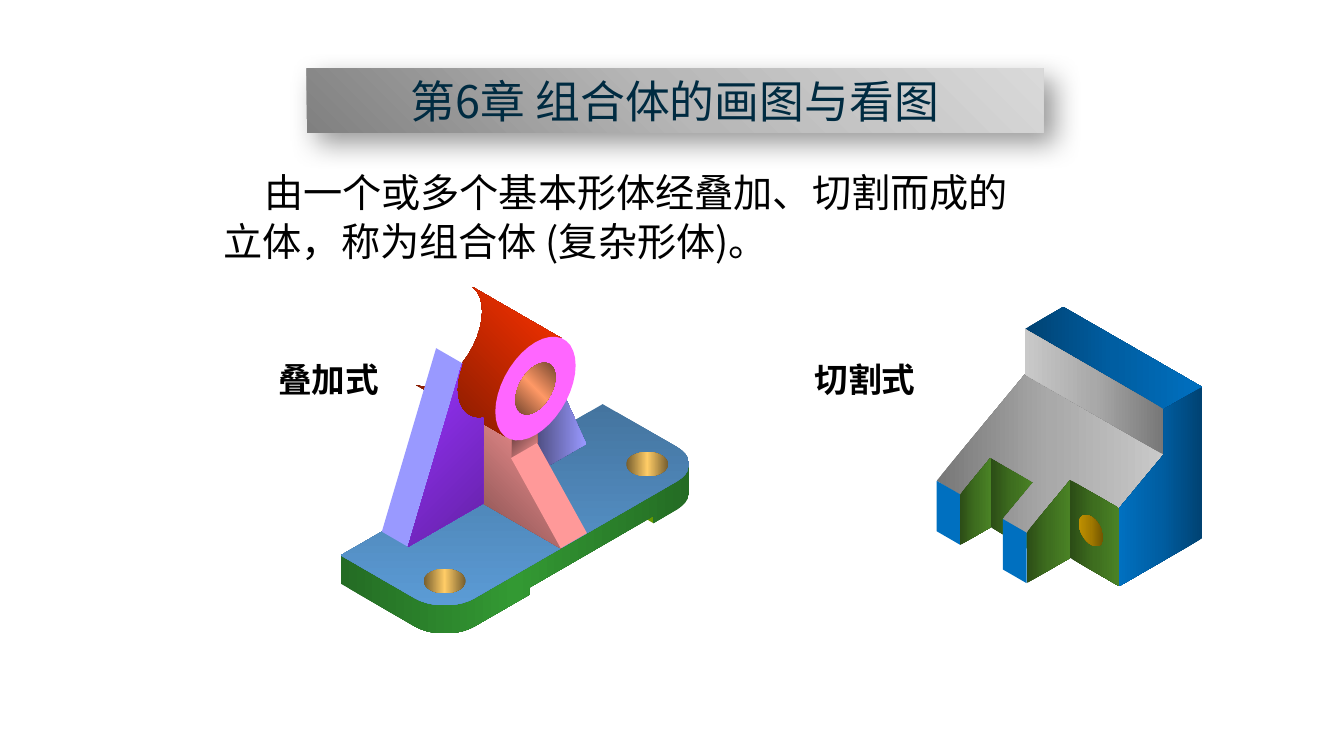
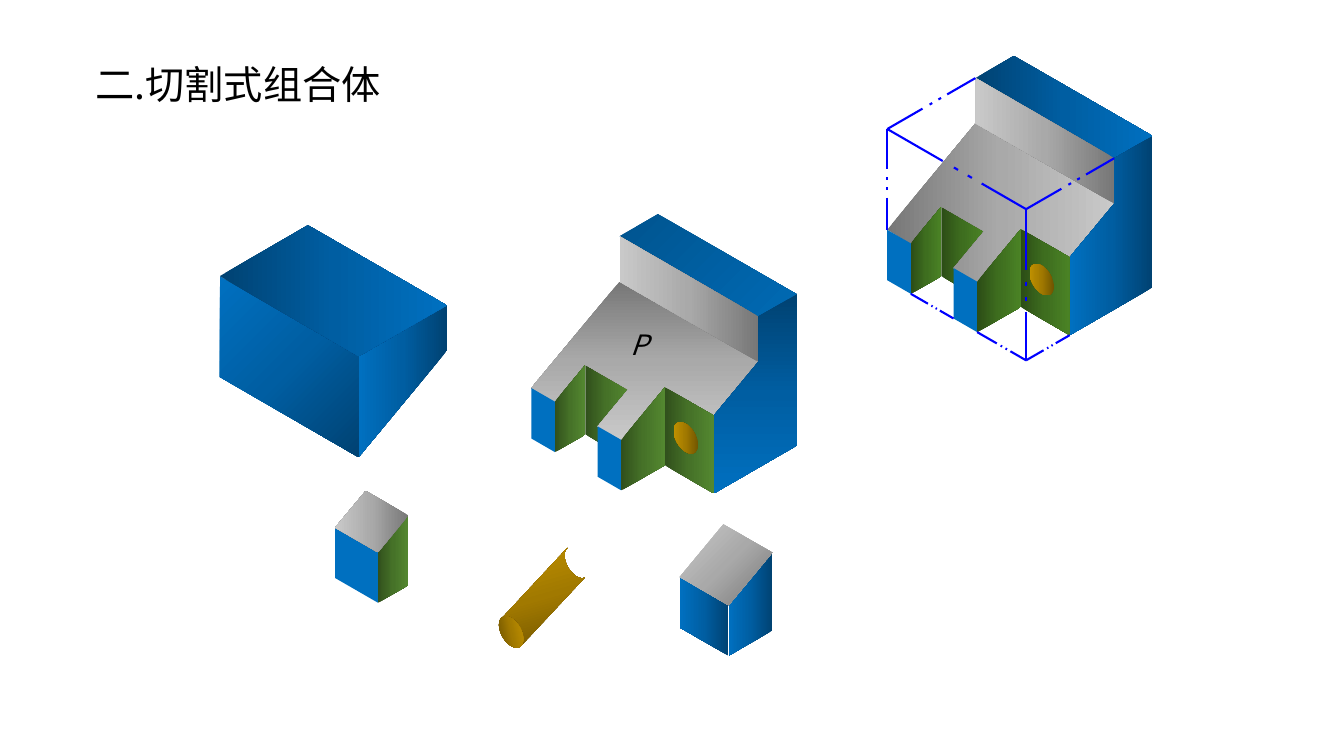
from math import cos, radians, sin
from lxml import etree
from pptx import Presentation
from pptx.dml.color import RGBColor
from pptx.enum import shapes, text
from pptx.oxml.ns import qn
from pptx.util import Inches, Pt

FONT = "Noto Sans CJK SC"
TITLE = "第6章 组合体的画图与看图"
INTRO = ["由一个或多个基本形体经叠加、切割而成的", "立体，称为组合体 (复杂形体)。"]
LABELS = [("叠加式", 2.66), ("切割式", 7.98)]
HEAD = "二.切割式组合体"
C = {
    "black": "000000", "navy": "002B41", "line": "0000FF",
    "banner": "808080 B7B7B7 D9D9D9",
    "face": "0070C0", "blue": "004272 005EA2 0070C0", "cap": "00548F 006AB4",
    "grey": "777777 A9A9A9 C9C9C9", "gold": "715500 A17900 BF9000",
    "leaf": "2C4D16 3E6E1F 4A8225", "moss": "31501C 467228 538730",
    "foot": "669900", "edge": "246C24 339933 246C24", "plate": "44749F 5B9BD5",
    "pink": "FF9999", "notch": "412727 FF9999", "rib": "824E4E FF9999",
    "lilac": "9999FF", "back": "474776 9999FF", "plum": "9933FF 6321A5",
    "red": "761800 FF3300", "rose": "FF66FF",
    "bore": "76472F FF9966 76472F", "brass": "765E2F FFCC66 765E2F",
}

WIDE, DEEP, TALL = 1.59, 1.45, 1.5
LIP, STEP, SHELF = 0.5, 1.01, 1.05
SLOT = (0.27, 0.76, 0.35)
NICK = (1.03, WIDE, 0.5)
HOLE = (1.27, 0.39, 0.14)

PLATE = {"wide": 1.19, "long": 3, "thick": 0.28, "round": 0.34}
ARCH = {"foot": 0.07, "from": 0.97, "to": 2.39}
WEB = {"thick": 0.3, "foot": 0.47}
RIB = {"near": 1.33, "far": 1.63, "nose": 0.62, "low": 0.61, "high": 0.82}
TUBE = {"end": 0.74, "long": 1.07, "mid": 1.49, "up": 1.28, "out": 0.46, "in": 0.23}

DASH = [(0, 0.4), (0.48, 0.51), (0.58, 0.61), (0.68, 1)]


def view(x, y):
    return lambda u, v, h=0: (x + 0.866 * (u + v), y + (u - v) / 2 - h)


def arc(x, y, r, start=0, stop=350):
    step = 10 if stop > start else -10
    return [(x + r * cos(radians(t)), y + r * sin(radians(t)))
            for t in range(start, stop + step, step)]


def sweep(rim, dx, dy):
    out = []
    for (x, y), (nx, ny) in zip(rim, rim[1:] + rim[:1]):
        ahead = (nx - x) * dy - (ny - y) * dx < 0
        out.append((x + dx, y + dy) if ahead else (x, y))
    return out


def ramp(v):
    return LIP + (SHELF - LIP) * v / STEP


def floor(v):
    return 0


def lid(v):
    return TALL


def node(up, tag, **atts):
    return etree.SubElement(up, qn("a:" + tag), {k: str(v) for k, v in atts.items()})


def paint(shape, name, ang):
    hues = C[name].split()
    shape.shadow.inherit = False
    shape.line.fill.background()
    if len(hues) == 1:
        shape.fill.solid()
        shape.fill.fore_color.rgb = RGBColor.from_string(hues[0])
        return
    shape.fill.gradient()
    grad = shape._element.spPr.find(qn("a:gradFill"))
    grad.clear()
    stops = node(grad, "gsLst")
    for i, hue in enumerate(hues):
        stop = node(stops, "gs", pos=i * 100000 // (len(hues) - 1))
        node(stop, "srgbClr", val=hue)
    if ang == "corner":
        node(node(grad, "path", path="circle"), "fillToRect", l=100000, t=100000)
    else:
        node(grad, "lin", ang=ang * 60000, scaled=0)


def fill(slide, flat, name, ang=0):
    pts = [(Inches(x), Inches(y)) for x, y in flat]
    pen = slide.shapes.build_freeform(*pts[0], scale=1.0)
    pen.add_line_segments(pts[1:], close=True)
    paint(pen.convert_to_shape(), name, ang)


def draw(slide, at, faces):
    for name, ang, pts in faces:
        fill(slide, [at(*p) for p in pts], name, ang)


def across(u0, u1, v, low, high):
    return [(u0, v, high), (u1, v, high), (u1, v, low), (u0, v, low)]


def along(u, v0, v1, low, high):
    return [(u, v0, high(v0)), (u, v1, high(v1)), (u, v1, low(v1)), (u, v0, low(v0))]


def cover(u0, u1, v0, v1, high):
    return [(u, v, high(v)) for u, v in ((u0, v0), (u0, v1), (u1, v1), (u1, v0))]


def block(slide, at, green="leaf", top=("blue", 0), side=180, slope=0):
    left, post, slot = SLOT
    edge, _, nick = NICK
    u, h, r = HOLE
    deck = [(0, 0), (left, 0), (left, slot), (post, slot), (post, 0), (edge, 0),
            (edge, nick), (WIDE, nick), (WIDE, STEP), (0, STEP)]
    flank = [(nick, 0), (nick, ramp(nick)), (STEP, SHELF), (STEP, TALL),
             (DEEP, TALL), (DEEP, 0)]
    draw(slide, at, [
        (green, 0, across(left, post, slot, 0, ramp(slot))),
        ("grey", slope, [(a, b, ramp(b)) for a, b in deck]),
        (green, 0, across(edge, WIDE, nick, 0, ramp(nick))),
        (*top, cover(0, WIDE, STEP, DEEP, lid)),
        ("grey", 180, across(0, WIDE, STEP, SHELF, TALL)),
        ("blue", side, [(WIDE, v, z) for v, z in flank]),
        ("face", 0, across(0, left, 0, 0, LIP)),
        ("face", 0, across(post, edge, 0, 0, LIP)),
        (green, 0, along(left, 0, slot, floor, ramp)),
        (green, 0, along(edge, 0, nick, floor, ramp)),
        ("gold", 180, [(a, nick, z) for a, z in arc(u, h, r)]),
    ])


def chunk(slide, at, size, low, high, front, side, top):
    u0, u1, v = size
    draw(slide, at, [
        (*front, across(u0, u1, 0, low(0), high(0))),
        (*side, along(u1, 0, v, low, high)),
        (*top, cover(u0, u1, 0, v, high)),
    ])


def rod(slide, x, y):
    rim = [view(x, y)(u, 0, h) for u, h in arc(0, 0, HOLE[2])]
    fill(slide, sweep(rim, 0.65, -0.69), "gold", 254)
    fill(slide, rim, "gold", 348)


def base(slide, at):
    wide, long, thick, r = PLATE.values()
    rise, start, stop = ARCH.values()
    mids = [r, long - r]
    near, far = [arc(wide - r, v, r, turn, turn + 90)
                 for v, turn in zip(mids, (-90, 0))]
    arch = [(wide, start, -thick), (wide, start, rise - thick),
            (wide, stop, rise - thick), (wide, stop, -thick)]
    tip = far[len(far) // 2]
    rim = ([(0, 0, 0), (0, 0, -thick)] + [(*p, -thick) for p in near] + arch
           + [(*p, -thick) for p in far[:len(far) // 2 + 1]] + [(*tip, 0)])
    draw(slide, at, [
        ("foot", 0, [arch[3], (wide - rise, stop, -thick), arch[2]]),
        ("edge", 0, rim),
        ("plate", 90, [(0, 0)] + near + far + [(0, long)]),
    ])
    draw(slide, at, [("brass", 0, arc(wide - r, v, r / 2)) for v in mids])


def bracket(slide, at):
    base(slide, at)
    wide, web, foot = PLATE["wide"], WEB["thick"], WEB["foot"]
    near, far, nose, low, high = RIB.values()
    end, long, mid, up, out, bore = TUBE.values()
    seat = arc(mid, up, out, 250, 150)
    top = seat[-1]
    right = 2 * mid - foot
    nook = right - 0.55
    draw(slide, at, [
        ("back", 0, [(web, nook, 0), (web, right, 0),
                     (web, 2 * mid - top[0], top[1])]),
        ("notch", 45, along(nose, near, far, lambda v: low, lambda v: high)),
        ("rib", 315, [(u, near, h) for u, h in (
            (web, high), (nose, high), (nose, low), (wide, 0), (web, 0))]),
    ])
    rim = [at(end, v, h) for v, h in arc(mid, up, out)]
    back = [b - a for a, b in zip(at(0, 0), at(-long, 0))]
    fill(slide, sweep(rim, *back), "red", 315)
    fill(slide, rim, "rose")
    draw(slide, at, [
        ("bore", 315, [(end, v, h) for v, h in arc(mid, up, bore)]),
        ("lilac", 0, [(0, *top), (0, foot, 0), (web, foot, 0), (web, *top)]),
        ("plum", 45, [(web, v, h) for v, h in [(foot, 0), (near, 0)] + seat]),
        ("pink", 0, [(nose, near, low), (wide, near, 0),
                     (wide, far, 0), (nose, far, low)]),
    ])


def dashes(slide, at):
    peak, apex, base = (0, 0, TALL), (WIDE, 0, TALL), (WIDE, 0, 0)
    edges = [(peak, (0, STEP, TALL)), (apex, (WIDE, STEP, TALL)), (peak, apex),
             (peak, (0, 0, LIP)), (apex, base), (base, (WIDE, NICK[2], 0)),
             ((SLOT[0], 0, 0), (SLOT[1], 0, 0)), ((NICK[0], 0, 0), base)]
    for start, stop in edges:
        (x1, y1), (x2, y2) = at(*start), at(*stop)
        for dash in DASH:
            ends = [Inches(c) for t in dash
                    for c in (x1 + t * (x2 - x1), y1 + t * (y2 - y1))]
            line = slide.shapes.add_connector(shapes.MSO_CONNECTOR.STRAIGHT, *ends)
            line.line.width = Pt(1.5)
            line.line.color.rgb = RGBColor.from_string(C["line"])
            node(line._element.spPr, "effectLst")


def write(shape, lines, size, hue="black", bold=False, slant=False, wrap=True, mid=True):
    frame = shape.text_frame
    frame.word_wrap = wrap
    frame.vertical_anchor = text.MSO_ANCHOR.MIDDLE if mid else text.MSO_ANCHOR.TOP
    frame.text = "\n".join(lines)
    for para in frame.paragraphs:
        font = para.font
        font.size, font.bold, font.italic, font.name = Pt(size), bold, slant, FONT
        font.color.rgb = RGBColor.from_string(C[hue])
        node(para._p.pPr.find(qn("a:defRPr")), "ea", typeface=FONT)
    return frame.paragraphs


def box(slide, at, lines, size, **style):
    shape = slide.shapes.add_textbox(*map(Inches, at))
    return write(shape, lines, size, **style)


def banner(slide):
    at = map(Inches, (3.04, 0.68, 7.31, 0.64))
    bar = slide.shapes.add_shape(shapes.MSO_SHAPE.RECTANGLE, *at)
    paint(bar, "banner", 315)
    glow = node(bar._element.spPr.find(qn("a:effectLst")), "outerShdw",
                blurRad=Pt(20), dist=Pt(10), dir=45 * 60000, algn="tl", rotWithShape=0)
    node(node(glow, "srgbClr", val=C["black"]), "alpha", val=40000)
    write(bar, [TITLE], 32, "navy")[0].alignment = text.PP_ALIGN.CENTER


def opening(slide):
    banner(slide)
    bracket(slide, view(3.38, 5.51))
    for word, x in LABELS:
        box(slide, (x, 3.51, 1.22, 0.51), [word], 24, bold=True, wrap=False, mid=False)
    paras = box(slide, (2.12, 1.51, 9.38, 1.25), INTRO, 28)
    for para in paras:
        para.line_spacing = Pt(35)
    paras[0]._p.pPr.set("indent", str(Inches(0.4)))
    block(slide, view(9.29, 5.27))


def cutting(slide):
    box(slide, (0.85, 0.55, 3.56, 0.57), [HEAD], 28)
    whole = view(8.8, 2.78)
    block(slide, whole)
    dashes(slide, whole)
    block(slide, view(5.27, 4.35), "moss", ("cap", 45), 90, 90)
    chunk(slide, view(2.18, 4.24), (0, WIDE, STEP), ramp, lid,
          ("blue", "corner"), ("blue", 180), ("blue", 0))
    chunk(slide, view(3.09, 5.6), SLOT, floor, ramp,
          ("face", 0), ("moss", 0), ("grey", 180))
    chunk(slide, view(5.85, 5.71), NICK, floor, ramp,
          ("blue", 180), ("blue", 180), ("grey", "corner"))
    rod(slide, 5.07, 6.27)
    box(slide, (6.16, 3.2, 0.54, 0.44), ["P"], 20, slant=True, mid=False)


def main():
    deck = Presentation()
    deck.slide_width, deck.slide_height = Inches(13.33), Inches(7.5)
    for build in (opening, cutting):
        build(deck.slides.add_slide(deck.slide_layouts[6]))
    deck.save("out.pptx")


if __name__ == "__main__":
    main()
